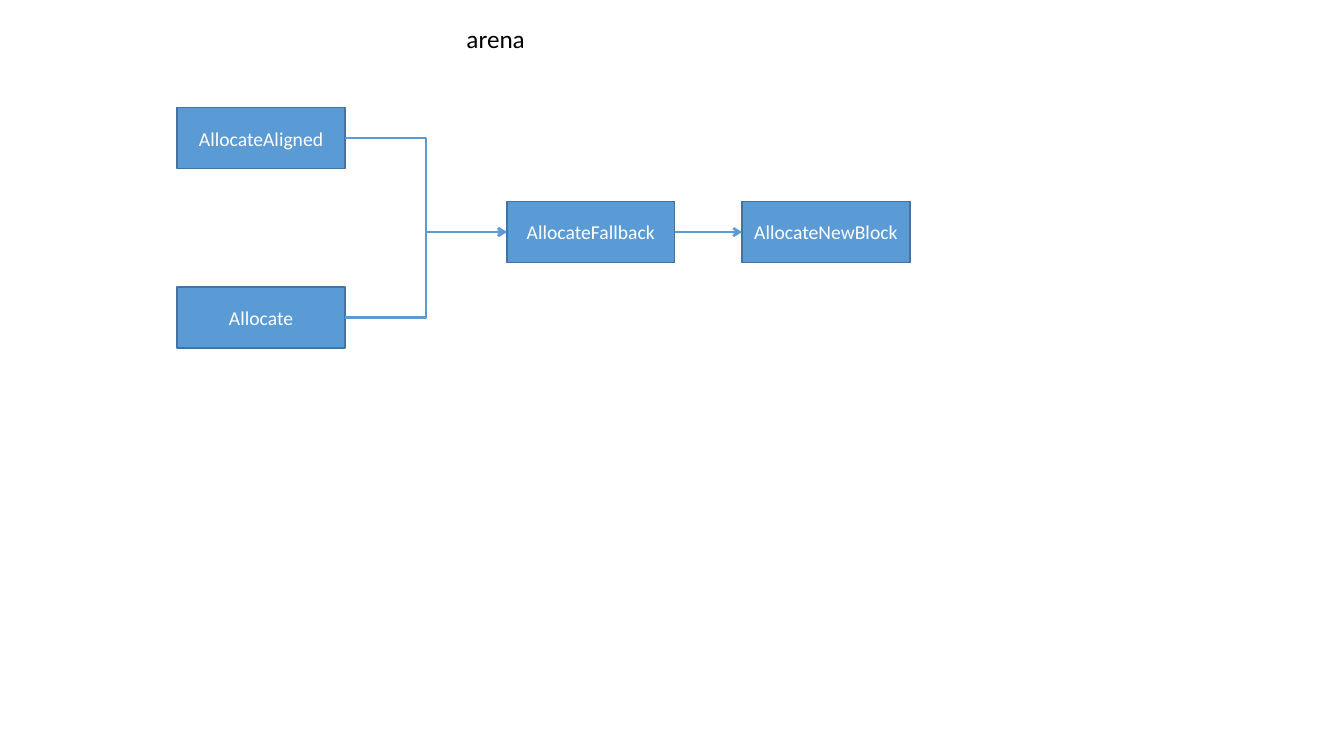
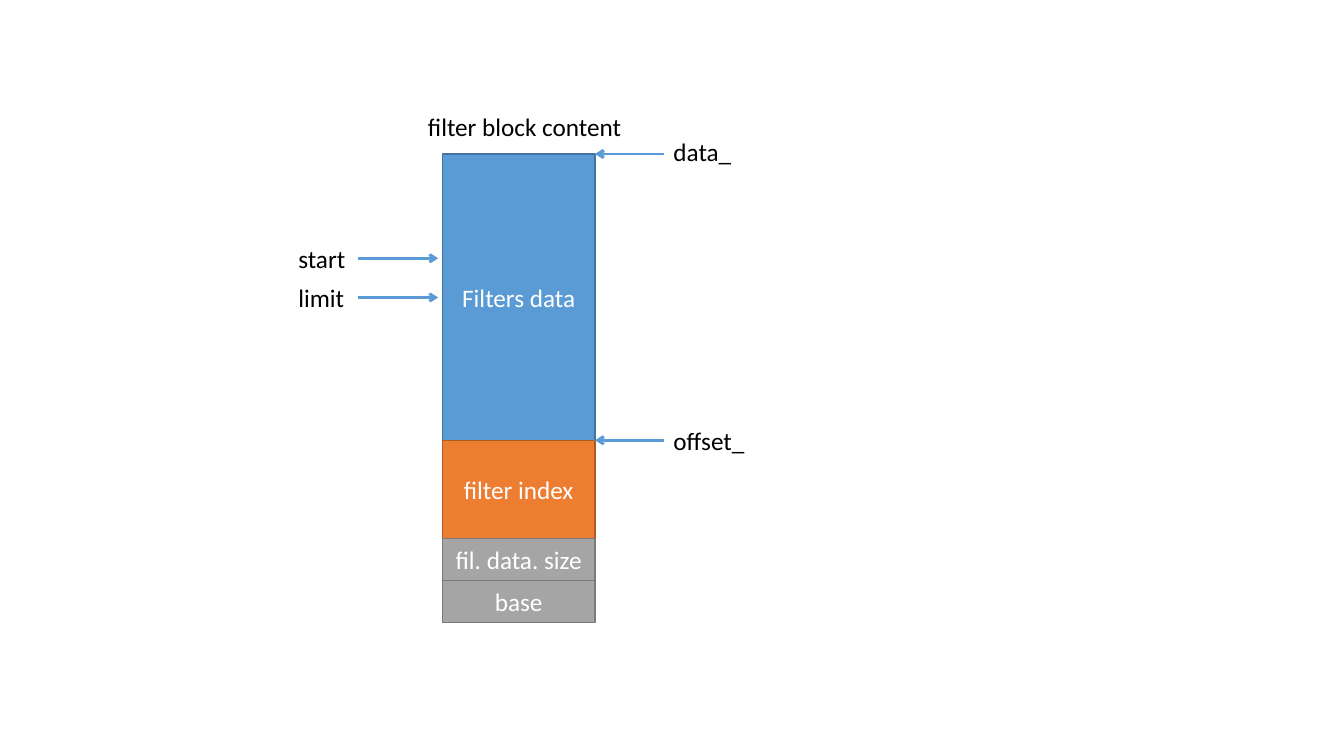
from lxml import etree
from pptx import Presentation
from pptx.dml.color import RGBColor
from pptx.enum import shapes, text
from pptx.oxml import ns
from pptx.util import Pt

BLUE = RGBColor(0x5B, 0x9B, 0xD5)
BLUE_EDGE = RGBColor(0x43, 0x73, 0x9E)
ORANGE = RGBColor(0xED, 0x7D, 0x31)
ORANGE_EDGE = RGBColor(0xAF, 0x5C, 0x24)
GRAY = RGBColor(0xA5, 0xA5, 0xA5)
GRAY_EDGE = RGBColor(0x7A, 0x7A, 0x7A)
WHITE = RGBColor(0xFF, 0xFF, 0xFF)
BLACK = RGBColor(0, 0, 0)
FONT = "Calibri"
TEXT_SIZE = 18
LABEL_HEIGHT = 29


def write_text(shape, words, size, color, align, anchor):
    frame = shape.text_frame
    frame.text = words
    frame.word_wrap = True
    frame.auto_size = text.MSO_AUTO_SIZE.NONE
    frame.vertical_anchor = anchor
    para = frame.paragraphs[0]
    para.alignment = align
    para.font.name = FONT
    para.font.size = Pt(size)
    para.font.color.rgb = color


def write_label(shape, words):
    write_text(shape, words, TEXT_SIZE, BLACK, text.PP_ALIGN.LEFT, text.MSO_ANCHOR.TOP)


def add_titled_page(deck, title, left, top, width):
    page = deck.slides.add_slide(deck.slide_layouts[5])
    heading = page.shapes.title
    heading.left, heading.top = Pt(left), Pt(top)
    heading.width, heading.height = Pt(width), Pt(LABEL_HEIGHT)
    write_label(heading, title)
    return page


def add_label(page, words, left, top, width):
    label = page.shapes.add_textbox(Pt(left), Pt(top), Pt(width), Pt(LABEL_HEIGHT))
    write_label(label, words)


def add_box(page, words, left, top, width, height, size=TEXT_SIZE, fill=BLUE, edge=BLUE_EDGE):
    box = page.shapes.add_shape(
        shapes.MSO_SHAPE.RECTANGLE, Pt(left), Pt(top), Pt(width), Pt(height))
    box.shadow.inherit = False
    box.fill.solid()
    box.fill.fore_color.rgb = fill
    box.line.color.rgb = edge
    box.line.width = Pt(1)
    write_text(box, words, size, WHITE, text.PP_ALIGN.CENTER, text.MSO_ANCHOR.MIDDLE)
    return box


def add_arrow(page, kind, weight, start=(0, 0), end=(0, 0)):
    arrow = page.shapes.add_connector(kind, *map(Pt, start + end))
    arrow.line.color.rgb = BLUE
    arrow.line.width = Pt(weight)
    etree.SubElement(arrow.line._get_or_add_ln(), ns.qn("a:tailEnd"), type="arrow")
    etree.SubElement(arrow._element.spPr, ns.qn("a:effectLst"))
    return arrow


def join_boxes(page, source, target, kind):
    arrow = add_arrow(page, kind, 1.75)
    arrow.begin_connect(source, 3)
    arrow.end_connect(target, 1)


def draw_call_flow(page, left, top):
    aligned, allocate, fallback, new_block = [
        add_box(page, name, left + x, top + y, 120, 43.5, size=14)
        for name, x, y in (
            ("AllocateAligned", 0, 0),
            ("Allocate", 0, 128),
            ("AllocateFallback", 235.5, 67),
            ("AllocateNewBlock", 403.5, 67),
        )
    ]
    for caller in (allocate, aligned):
        join_boxes(page, caller, fallback, shapes.MSO_CONNECTOR.ELBOW)
    join_boxes(page, fallback, new_block, shapes.MSO_CONNECTOR.STRAIGHT)


def draw_block_layout(page, left, top, width):
    sections = (
        ("Filters data", 204.5, BLUE, BLUE_EDGE),
        ("filter index", 70, ORANGE, ORANGE_EDGE),
        ("fil. data. size", 30, GRAY, GRAY_EDGE),
        ("base", 30, GRAY, GRAY_EDGE),
    )
    section_top = top
    for name, height, fill, edge in sections:
        add_box(page, name, left, section_top, width, height, fill=fill, edge=edge)
        section_top += height

    right = left + width
    filters_height = sections[0][1]
    pointers = (
        ("start", 74.5, left - 110, left - 60.5, left - 3, 14.5),
        ("limit", 102.5, left - 110, left - 60.5, left - 3, 14.5),
        ("data_", 0, right + 49, right + 49, right, 16.5),
        ("offset_", filters_height, right + 49, right + 49, right, 14.5),
    )
    for name, offset, label_left, tail, tip, rise in pointers:
        y = top + offset
        add_label(page, name, label_left, y - rise, 75)
        add_arrow(page, shapes.MSO_CONNECTOR.STRAIGHT, 2, (tail, y), (tip, y))


def main():
    deck = Presentation()
    deck.slide_width, deck.slide_height = Pt(960), Pt(540)
    draw_call_flow(add_titled_page(deck, "arena", 326, 13, 60), 126.5, 77)
    draw_block_layout(
        add_titled_page(deck, "filter block content", 298.5, 76, 165), 316, 110, 109)
    deck.save("out.pptx")


if __name__ == "__main__":
    main()
